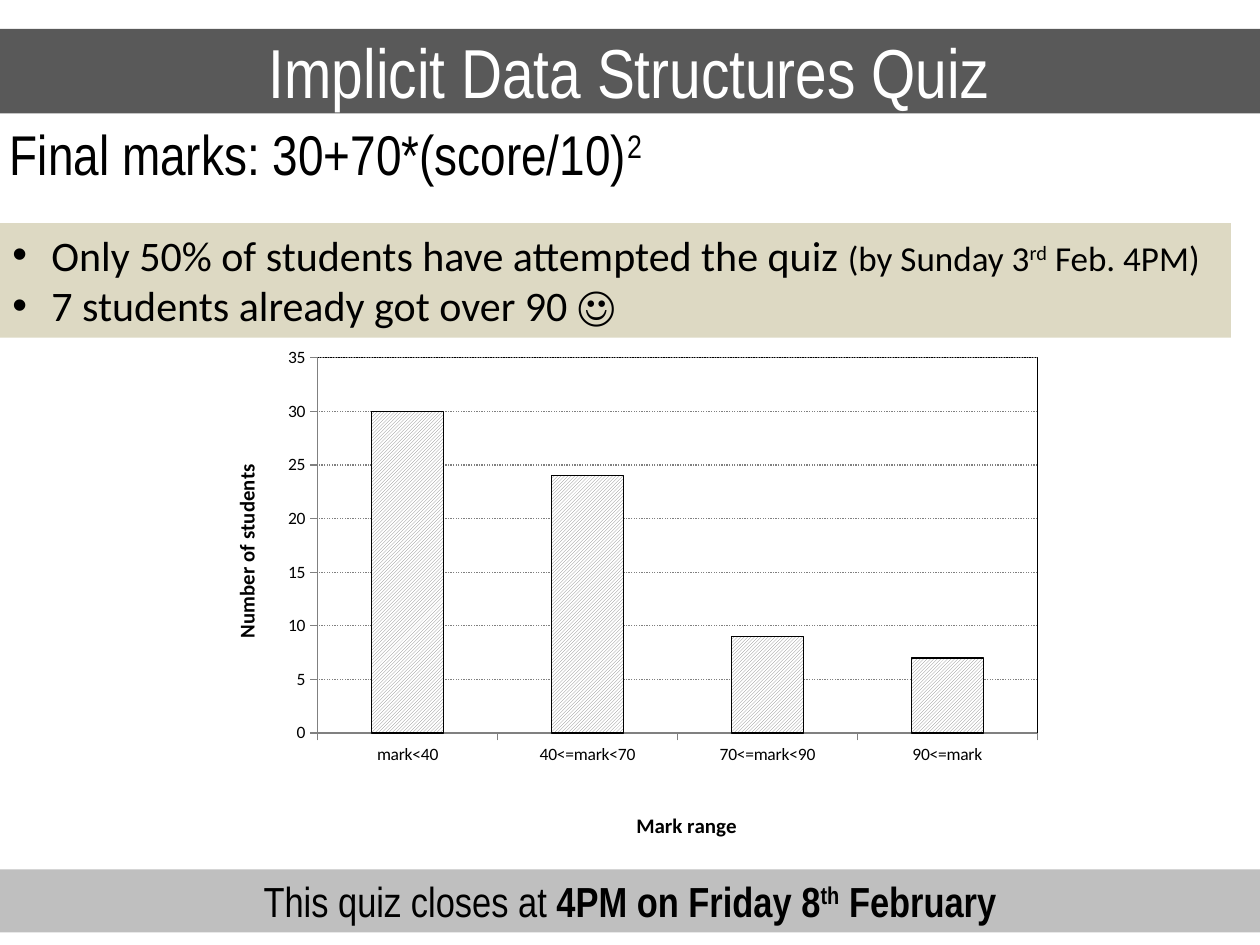
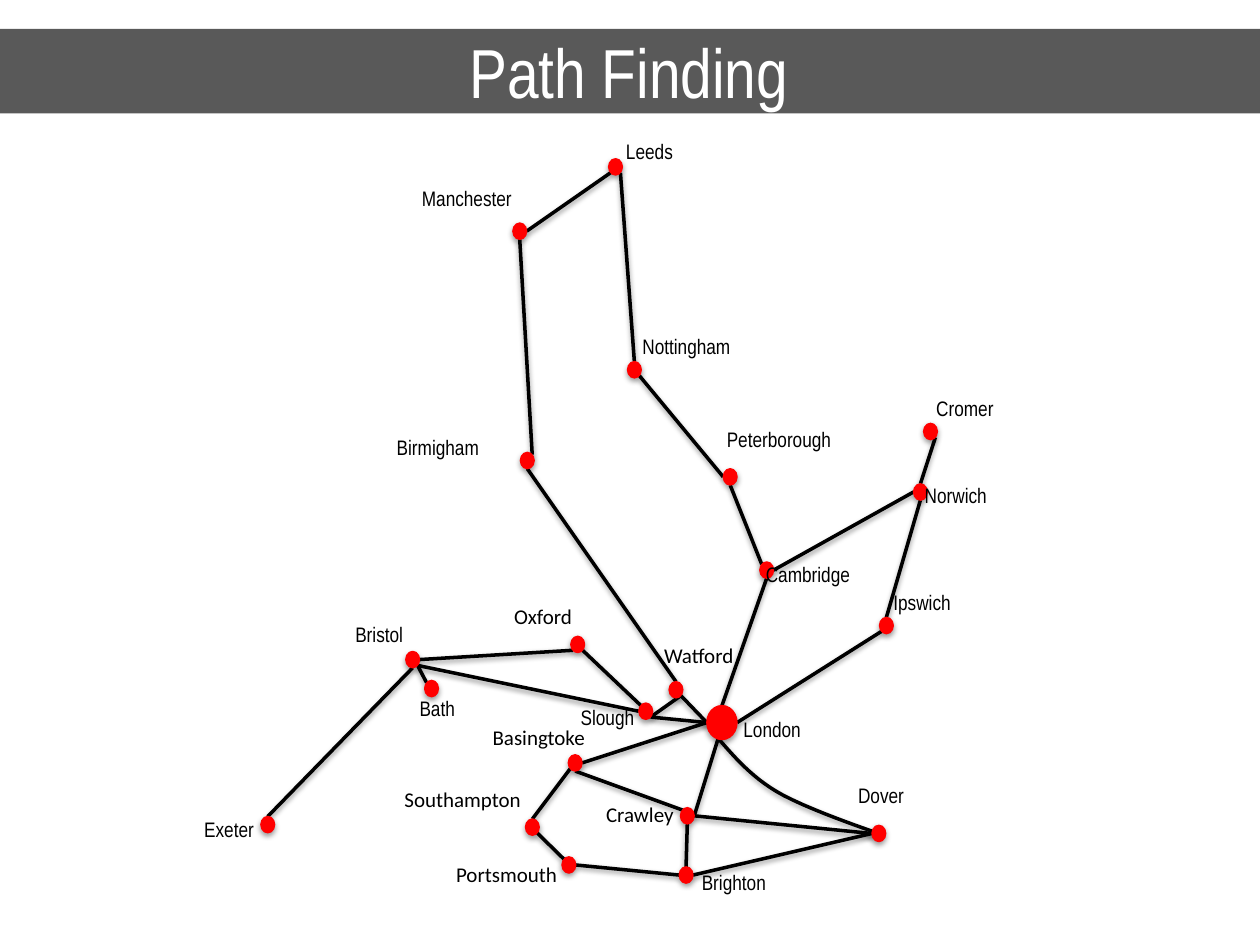
import typing

import lxml.etree
import pptx
import pptx.chart.data
import pptx.dml.color
import pptx.enum.chart
import pptx.enum.dml
import pptx.enum.shapes
import pptx.enum.text
import pptx.oxml.ns
import pptx.util

Inches, Pt, qn = pptx.util.Inches, pptx.util.Pt, pptx.oxml.ns.qn
Align = pptx.enum.text.PP_ALIGN
NARROW, CALIBRI = "Arial Narrow", "Calibri"
BLACK, WHITE, GREY, RED = "000000", "FFFFFF", "808080", "FF0000"
TITLE_BAND, NOTE_BAND, CLOSING_BAND = "595959", "DDD9C3", "BFBFBF"
LABEL_HEIGHT = 0.3
# Points on a station's rim, in radii from its centre; "low" lies just west of south.
SITES = {"N": (0, -1), "NE": (0.71, -0.71), "E": (1, 0), "SE": (0.71, 0.71), "S": (0, 1),
         "SW": (-0.71, 0.71), "W": (-1, 0), "NW": (-0.71, -0.71), "low": (-0.25, 0.93)}


class Box(typing.NamedTuple):
    left: float
    top: float
    width: float
    height: float

    def lengths(self) -> list[int]:
        return [Inches(value) for value in self]


class Run(typing.NamedTuple):
    text: str
    size: float
    font: str = NARROW
    color: str = BLACK
    bold: bool = False
    raised: bool = False


class City(typing.NamedTuple):
    name: str
    left: float
    top: float
    label_left: float
    label_top: float
    label_width: float
    font: str = NARROW
    inset: float = 0
    width: float = 0.11
    height: float = 0.13

    def point(self, site: str) -> tuple[int, int]:
        across, down = SITES[site]
        return (Inches(self.left + self.width / 2 * (1 + across)),
                Inches(self.top + self.height / 2 * (1 + down)))


class Track(typing.NamedTuple):
    start: str
    leave: str
    end: str
    arrive: str


CITIES = [
    City("London", 5.61, 5.6, 5.9, 5.64, 0.48, width=0.24, height=0.27),
    City("Ipswich", 6.98, 4.9, 7.09, 4.63, 0.48),
    City("Brighton", 5.39, 6.88, 5.57, 6.85, 0.53),
    City("Dover", 6.92, 6.55, 6.81, 6.16, 0.39),
    City("Cromer", 7.33, 3.36, 7.43, 3.09, 0.48),
    City("Leeds", 4.83, 1.26, 4.87, 1.05, 0.6, inset=0.1),
    City("Manchester", 4.07, 1.77, 3.25, 1.42, 0.94, inset=0.1),
    City("Nottingham", 4.98, 2.87, 5, 2.6, 0.93, inset=0.1),
    City("Birmigham", 4.13, 3.59, 3.05, 3.4, 0.88, inset=0.1),
    City("Peterborough", 5.74, 3.72, 5.67, 3.34, 1.06, inset=0.1),
    City("Cambridge", 6.03, 4.46, 5.98, 4.41, 0.9, inset=0.1),
    City("Norwich", 7.25, 3.84, 7.24, 3.78, 0.72, inset=0.1),
    City("Slough", 5.07, 5.58, 4.51, 5.54, 0.65, inset=0.1),
    City("Exeter", 2.07, 6.48, 1.62, 6.43, 0.42),
    City("Bristol", 3.22, 5.17, 2.82, 4.88, 0.4),
    City("Bath", 3.37, 5.4, 3.33, 5.47, 0.34),
    City("Southampton", 4.17, 6.5, 3.21, 6.19, 0.96, CALIBRI),
    City("Portsmouth", 4.46, 6.8, 3.62, 6.79, 0.83, CALIBRI),
    City("Oxford", 4.53, 5.05, 4.08, 4.74, 0.49, CALIBRI),
    City("Watford", 5.31, 5.41, 5.27, 5.05, 0.59, CALIBRI),
    City("Basingtoke", 4.51, 5.99, 3.91, 5.7, 0.77, CALIBRI),
    City("Crawley", 5.4, 6.41, 4.81, 6.31, 0.58, CALIBRI),
]
TRACKS = [
    Track("London", "W", "Watford", "SE"), Track("London", "E", "Ipswich", "SW"),
    Track("London", "low", "Crawley", "E"), Track("London", "W", "Basingtoke", "E"),
    Track("London", "W", "Slough", "SE"), Track("London", "N", "Cambridge", "S"),
    Track("Cromer", "SE", "Norwich", "N"), Track("Norwich", "S", "Ipswich", "N"),
    Track("Cambridge", "E", "Norwich", "W"), Track("Peterborough", "S", "Cambridge", "NW"),
    Track("Nottingham", "SE", "Peterborough", "W"), Track("Leeds", "SE", "Nottingham", "N"),
    Track("Leeds", "SW", "Manchester", "E"), Track("Manchester", "S", "Birmigham", "NE"),
    Track("Birmigham", "S", "Watford", "N"), Track("Watford", "SE", "Slough", "SE"),
    Track("Slough", "NW", "Oxford", "SE"), Track("Oxford", "SW", "Bristol", "E"),
    Track("Bristol", "SE", "Slough", "W"), Track("Bristol", "SE", "Bath", "NW"),
    Track("Bristol", "S", "Exeter", "N"), Track("Basingtoke", "SW", "Southampton", "N"),
    Track("Basingtoke", "S", "Crawley", "NW"), Track("Southampton", "SE", "Portsmouth", "NW"),
    Track("Portsmouth", "E", "Brighton", "W"), Track("Crawley", "S", "Brighton", "N"),
    Track("Dover", "W", "Crawley", "E"), Track("Dover", "W", "Brighton", "E"),
]
# Two cubic curves, joined at the fourth point.
DOVER_LINE = [(5.7, 5.86), (5.83, 6.01), (5.96, 6.16), (6.16, 6.28),
              (6.37, 6.41), (6.93, 6.6), (6.93, 6.6)]


def rgb(color: str) -> pptx.dml.color.RGBColor:
    return pptx.dml.color.RGBColor.from_string(color)


def paint(fill, color: str) -> None:
    fill.solid()
    fill.fore_color.rgb = rgb(color)


def draw_line(line, color: str, points: float) -> None:
    paint(line.fill, color)
    line.width = Pt(points)


def add_xml(parent, tag: str, **attributes):
    values = {name: str(value) for name, value in attributes.items()}
    return lxml.etree.SubElement(parent, qn(tag), values)


def add_run(paragraph, part: Run) -> None:
    run = paragraph.add_run()
    run.text = part.text
    run.font.size, run.font.name, run.font.bold = Pt(part.size), part.font, part.bold
    run.font.color.rgb = rgb(part.color)
    if part.raised:
        run._r.get_or_add_rPr().set("baseline", "30000")


def add_text(slide, box: Box, paragraphs: list[list[Run]], fill: str | None = None,
             align=Align.LEFT, wrap: bool = False, inset: float = 0.1,
             grow: bool = True, bulleted: bool = False):
    shape = slide.shapes.add_textbox(*box.lengths())
    if fill:
        paint(shape.fill, fill)
    frame = shape.text_frame
    frame.word_wrap = wrap
    frame.margin_left = frame.margin_right = Inches(inset)
    sizing = pptx.enum.text.MSO_AUTO_SIZE
    frame.auto_size = sizing.SHAPE_TO_FIT_TEXT if grow else sizing.NONE
    for index, runs in enumerate(paragraphs):
        paragraph = frame.add_paragraph() if index else frame.paragraphs[0]
        paragraph.alignment = align
        if bulleted:
            properties = paragraph._p.get_or_add_pPr()
            properties.set("marL", str(Inches(0.31)))
            properties.set("indent", str(-Inches(0.31)))
            add_xml(properties, "a:buFont", typeface="Arial")
            add_xml(properties, "a:buChar", char="•")
        for part in runs:
            add_run(paragraph, part)
    return shape


def add_titled_slide(deck, title: str):
    slide = deck.slides.add_slide(deck.slide_layouts[6])
    band = add_text(slide, Box(-0.02, 0.23, 10.02, 0.67), [[Run(title, 39.6, color=WHITE)]],
                    TITLE_BAND, Align.CENTER, wrap=True, grow=False)
    band.text_frame.vertical_anchor = pptx.enum.text.MSO_ANCHOR.MIDDLE
    return slide


def add_drop_shadow(shape) -> None:
    properties = shape.element.spPr
    effects = properties.find(qn("a:effectLst"))
    if effects is None:
        effects = add_xml(properties, "a:effectLst")
    shadow = add_xml(effects, "a:outerShdw", blurRad=Pt(3.1), dist=Pt(1.6), dir=5400000)
    add_xml(add_xml(shadow, "a:srgbClr", val=BLACK), "a:alpha", val=38000)


def place(part, position: int, **settings: str | float) -> None:
    """Give a chart part a manual layout, in shares of the chart."""
    for layout in part.findall(qn("c:layout")):
        part.remove(layout)
    layout = add_xml(part, "c:layout")
    manual = add_xml(layout, "c:manualLayout")
    for tag, value in settings.items():
        add_xml(manual, f"c:{tag}", val=value)
    part.insert(position, layout)


def add_marks_chart(slide) -> None:
    marks = pptx.chart.data.CategoryChartData()
    marks.categories = ["mark<40", "40<=mark<70", "70<=mark<90", "90<=mark"]
    marks.add_series("Series 1", [30, 24, 9, 7])
    chart = slide.shapes.add_chart(pptx.enum.chart.XL_CHART_TYPE.COLUMN_CLUSTERED,
                                   *Box(1.68, 2.68, 6.68, 4.03).lengths(), marks).chart
    chart.has_legend = chart.has_title = False
    chart.font.size, chart.font.name = Pt(10), CALIBRI
    chart.font.color.rgb = rgb(BLACK)
    plot = chart.plots[0]
    plot.gap_width, plot.vary_by_categories = 150, False
    bars = plot.series[0].format
    bars.fill.patterned()
    bars.fill.pattern = pptx.enum.dml.MSO_PATTERN.LIGHT_UPWARD_DIAGONAL
    bars.fill.fore_color.rgb, bars.fill.back_color.rgb = rgb(GREY), rgb(WHITE)
    draw_line(bars.line, BLACK, 0.75)
    counts = chart.value_axis
    for axis, title, x, y in ((chart.category_axis, "Mark range", 0.5, 0.94),
                              (counts, "Number of students", 0.02, 0.25)):
        axis.major_tick_mark = pptx.enum.chart.XL_TICK_MARK.OUTSIDE
        draw_line(axis.format.line, GREY, 0.75)
        add_run(axis.axis_title.text_frame.paragraphs[0], Run(title, 12, CALIBRI, bold=True))
        place(axis.axis_title._element, 1, xMode="edge", yMode="edge", x=x, y=y)
    counts.minimum_scale, counts.maximum_scale, counts.major_unit = 0, 35, 5
    grid = counts.major_gridlines.format.line
    draw_line(grid, GREY, 0.75)
    grid.dash_style = pptx.enum.dml.MSO_LINE.ROUND_DOT
    area = chart.element.chart.plotArea
    place(area, 0, layoutTarget="inner", xMode="edge", yMode="edge",
          x=0.126, y=0.04, w=0.855, h=0.75)
    outline = add_xml(area, "c:spPr")
    add_xml(outline, "a:noFill")
    border = add_xml(add_xml(outline, "a:ln", w=Pt(0.75)), "a:solidFill")
    add_xml(border, "a:srgbClr", val=BLACK)


def bezier(points: list[tuple[float, float]], t: float) -> tuple[int, int]:
    weights = ((1 - t) ** 3, 3 * t * (1 - t) ** 2, 3 * t * t * (1 - t), t ** 3)
    x, y = (sum(w * v for w, v in zip(weights, values)) for values in zip(*points))
    return Inches(x), Inches(y)


def add_curved_track(slide, points: list[tuple[float, float]], steps: int = 12) -> None:
    route = [bezier(points[first:first + 4], step / steps)
             for first in range(0, len(points) - 1, 3) for step in range(1, steps + 1)]
    builder = slide.shapes.build_freeform(*bezier(points[:4], 0))
    track = builder.add_line_segments(route, close=False).convert_to_shape()
    track.fill.background()
    draw_line(track.line, BLACK, 2)
    track.shadow.inherit = False
    add_drop_shadow(track)


def build_quiz_slide(deck) -> None:
    slide = add_titled_slide(deck, "Implicit Data Structures Quiz")
    add_text(slide, Box(-0.02, 0.9, 5.28, 0.64),
             [[Run("Final marks: 30+70*(score/10)", 32), Run("2", 32, raised=True)]])
    add_text(slide, Box(0, 1.77, 9.77, 0.91), [
        [Run("Only 50% of students have attempted the quiz ", 24, CALIBRI),
         Run("(by Sunday 3", 20, CALIBRI), Run("rd", 20, CALIBRI, raised=True),
         Run(" Feb. 4PM)", 20, CALIBRI)],
        [Run("7 students already got over 90 ☺", 24, CALIBRI)],
    ], NOTE_BAND, bulleted=True)
    add_text(slide, Box(0, 6.9, 10, 0.5), [
        [Run("This quiz closes at ", 24), Run("4PM on Friday 8", 24, bold=True),
         Run("th", 24, bold=True, raised=True), Run(" February", 24, bold=True)],
    ], CLOSING_BAND, Align.CENTER, wrap=True)
    add_marks_chart(slide)


def build_path_slide(deck) -> None:
    slide = add_titled_slide(deck, "Path Finding")
    by_name = {city.name: city for city in CITIES}
    for start, leave, end, arrive in TRACKS:
        track = slide.shapes.add_connector(pptx.enum.shapes.MSO_CONNECTOR.STRAIGHT,
                                           *by_name[start].point(leave),
                                           *by_name[end].point(arrive))
        draw_line(track.line, BLACK, 2)
        add_drop_shadow(track)
    add_curved_track(slide, DOVER_LINE)
    for city in CITIES:
        spot = Box(city.left, city.top, city.width, city.height)
        station = slide.shapes.add_shape(pptx.enum.shapes.MSO_SHAPE.OVAL, *spot.lengths())
        paint(station.fill, RED)
        draw_line(station.line, RED, 0.75)
        station.shadow.inherit = False
        add_drop_shadow(station)
    for city in CITIES:
        add_text(slide, Box(city.label_left, city.label_top, city.label_width, LABEL_HEIGHT),
                 [[Run(city.name, 12, city.font)]], inset=city.inset)


deck = pptx.Presentation()
deck.slide_width, deck.slide_height = Inches(10), Inches(7.5)
build_quiz_slide(deck)
build_path_slide(deck)
deck.save("out.pptx")
